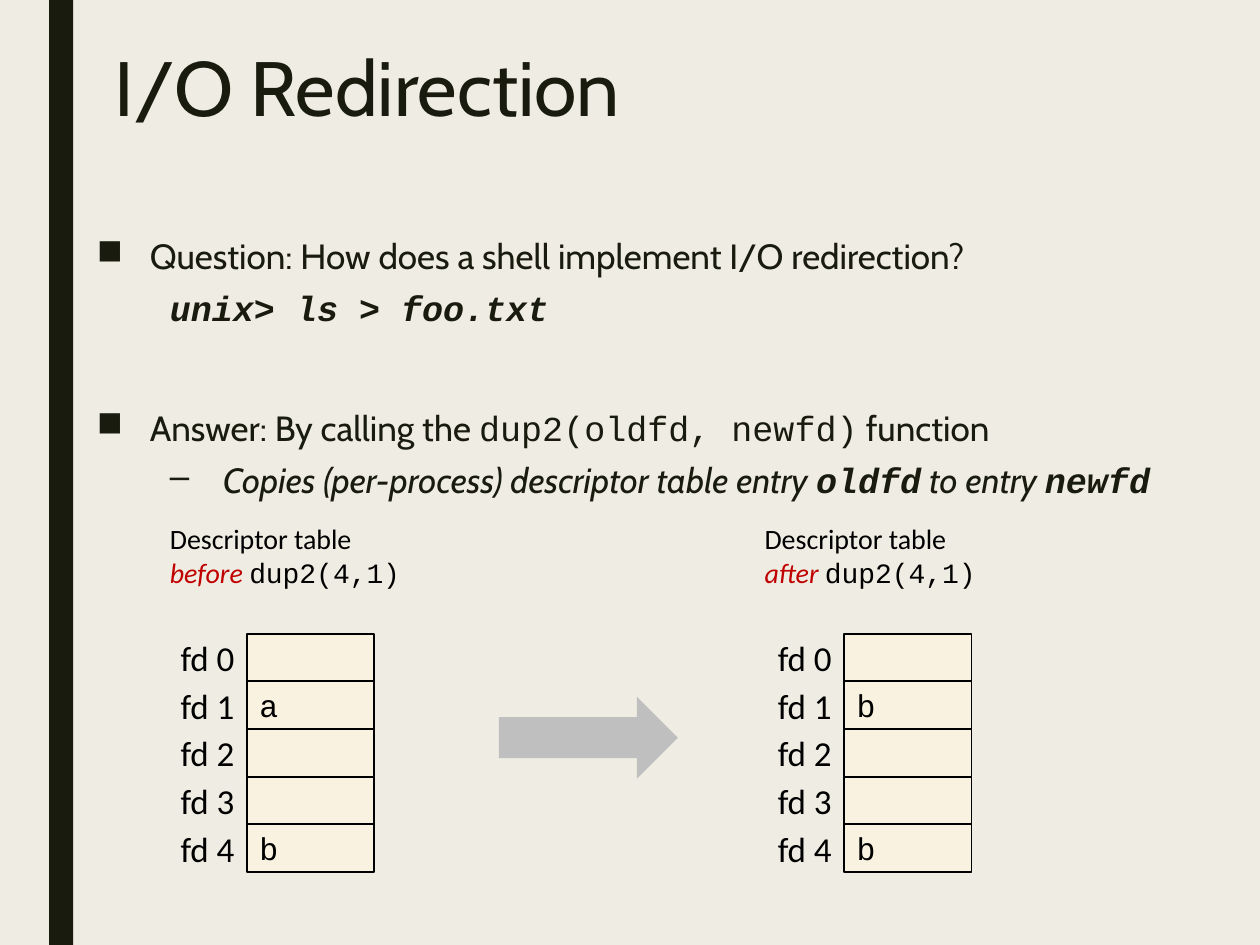
"""Build a slide explaining I/O redirection with dup2 descriptor tables."""
from dataclasses import dataclass

from lxml import etree
from pptx import Presentation
from pptx import util as u
from pptx.dml.color import RGBColor
from pptx.enum import shapes, text
from pptx.oxml.ns import qn


@dataclass(frozen=True)
class Theme:
    paper: str = "EFEDE3"
    ink: str = "191B0E"
    black: str = "000000"
    accent: str = "C00000"
    cell: str = "FAF2E1"
    arrow: str = "BFBFBF"
    heading: str = "Cabin"
    label: str = "Calibri"
    code: str = "Courier New"
    title_size: int = 44
    body_size: int = 20
    cell_size: int = 18
    caption_size: int = 16


THEME = Theme()
WIDTH, HEIGHT = 10, 7.5
CODE = {"font": THEME.code}
STRONG = {"font": THEME.code, "bold": True, "italic": True}
SLANT = {"italic": True}

TITLE = "I/O Redirection"
BODY = [
    {"bullet": "■", "level": 0, "before": 0,
     "spans": [("Question: How does a shell implement I/O redirection?", {})]},
    {"bullet": None, "level": 1, "before": 5,
     "spans": [("unix> ls > foo.txt", STRONG)]},
    {"bullet": "■", "level": 0, "before": 44,
     "spans": [("Answer: By calling the ", {}), ("dup2(oldfd, newfd)", CODE),
               (" function", {})]},
    {"bullet": "–", "level": 1, "before": 5,
     "spans": [("Copies (per-process) descriptor table entry ", SLANT),
               ("oldfd", STRONG), (" to entry ", SLANT), ("newfd", STRONG)]},
]
TABLES = [
    {"when": "before", "left": 0.95, "caption_left": 1.25,
     "entries": ["", "a", "", "", "b"]},
    {"when": "after", "left": 5.69, "caption_left": 5.97,
     "entries": ["", "b", "", "", "b"]},
]
CALL = "dup2(4,1)"
TABLE_TOP, COLUMN, ROW = 5.03, 1.01, 0.378
INDENTS, HANG = (0.42, 1), 0.42


def add_span(para, words, font=THEME.heading, size=THEME.body_size,
             color=THEME.ink, bold=False, italic=False):
    span = para.add_run()
    span.text = words
    span.font.name = font
    span.font.size = u.Pt(size)
    span.font.bold = bold
    span.font.italic = italic
    span.font.color.rgb = RGBColor.from_string(color)


def add_box(parent, left, top, width, height, anchor=text.MSO_ANCHOR.MIDDLE):
    box = parent.add_textbox(*map(u.Inches, (left, top, width, height)))
    box.text_frame.word_wrap = True
    box.text_frame.vertical_anchor = anchor
    return box.text_frame


def add_block(parent, kind, left, top, width, height, fill, line=None):
    block = parent.add_shape(kind, *map(u.Inches, (left, top, width, height)))
    block.shadow.inherit = False
    block.fill.solid()
    block.fill.fore_color.rgb = RGBColor.from_string(fill)
    if line:
        block.line.color.rgb = RGBColor.from_string(line)
        block.line.width = u.Pt(1)
    else:
        block.line.fill.background()
    return block


def set_bullet(para, level, bullet):
    props = para._p.get_or_add_pPr()
    props.set("marL", str(u.Inches(INDENTS[level])))
    props.set("indent", str(-u.Inches(HANG)))
    if bullet:
        etree.SubElement(props, qn("a:buChar"), char=bullet)
    else:
        etree.SubElement(props, qn("a:buNone"))


def add_title(slide):
    title = slide.shapes.title
    title.left, title.top, title.width, title.height = map(
        u.Inches, (0.81, 0.35, 8.3, 0.83))
    frame = title.text_frame
    frame.vertical_anchor = text.MSO_ANCHOR.TOP
    para = frame.paragraphs[0]
    para.alignment = text.PP_ALIGN.LEFT
    para.line_spacing = 0.89
    add_span(para, TITLE, size=THEME.title_size)


def add_body(slide):
    frame = add_box(slide.shapes, 0.67, 1.84, 9.08, 2.24, text.MSO_ANCHOR.TOP)
    for index, item in enumerate(BODY):
        para = frame.add_paragraph() if index else frame.paragraphs[0]
        set_bullet(para, item["level"], item["bullet"])
        para.level = item["level"]
        para.line_spacing = 0.94
        para.space_before = u.Pt(item["before"])
        para.space_after = u.Pt(2)
        for words, style in item["spans"]:
            add_span(para, words, **style)


def add_descriptor_table(slide, table):
    caption = add_box(slide.shapes, table["caption_left"], 3.95, 3, 0.91)
    style = {"font": THEME.label, "size": THEME.caption_size}
    add_span(caption.paragraphs[0], "Descriptor table", color=THEME.black, **style)
    para = caption.add_paragraph()
    add_span(para, table["when"] + " ", color=THEME.accent, italic=True, **style)
    add_span(para, CALL, font=THEME.code, size=THEME.caption_size, color=THEME.black)

    group = slide.shapes.add_group_shape().shapes
    for row, entry in enumerate(table["entries"]):
        top = TABLE_TOP + row * ROW
        label = add_box(group, table["left"], top, COLUMN, ROW).paragraphs[0]
        label.alignment = text.PP_ALIGN.RIGHT
        add_span(label, f"fd {row}", font=THEME.label, color=THEME.black)
        cell = add_block(group, shapes.MSO_SHAPE.RECTANGLE, table["left"] + COLUMN,
                         top, COLUMN, ROW, THEME.cell, THEME.black)
        if entry:
            cell.text_frame.vertical_anchor = text.MSO_ANCHOR.MIDDLE
            para = cell.text_frame.paragraphs[0]
            para.alignment = text.PP_ALIGN.LEFT
            add_span(para, entry, font=THEME.code, size=THEME.cell_size,
                     color=THEME.black)


def main():
    deck = Presentation()
    deck.slide_width, deck.slide_height = u.Inches(WIDTH), u.Inches(HEIGHT)
    slide = deck.slides.add_slide(deck.slide_layouts[5])
    slide.background.fill.solid()
    slide.background.fill.fore_color.rgb = RGBColor.from_string(THEME.paper)
    add_block(slide.shapes, shapes.MSO_SHAPE.RECTANGLE, 0.39, 0, 0.19, HEIGHT, THEME.ink)
    add_title(slide)
    add_body(slide)
    for table in TABLES:
        add_descriptor_table(slide, table)
    add_block(slide.shapes, shapes.MSO_SHAPE.RIGHT_ARROW, 3.96, 5.53, 1.42, 0.65,
              THEME.arrow)
    deck.save("out.pptx")


if __name__ == "__main__":
    main()
